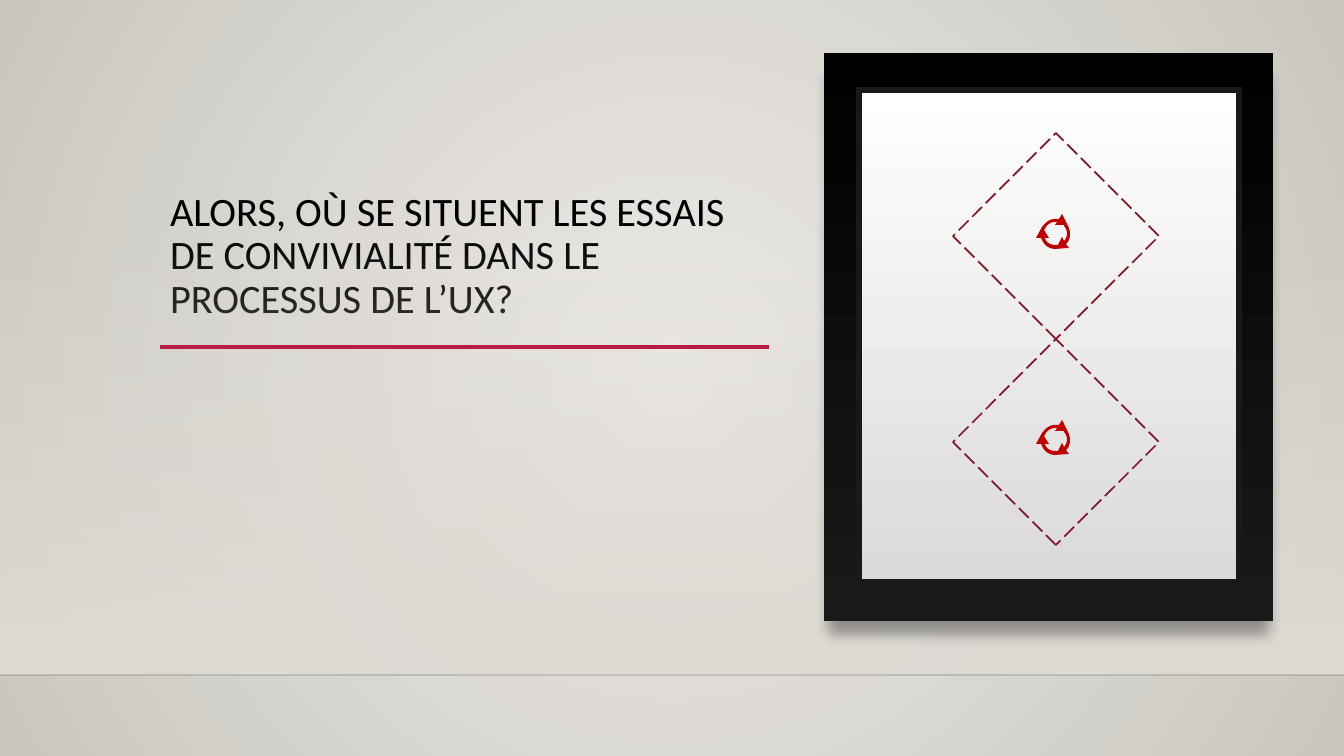
from lxml import etree
from pptx import Presentation, util as u
from pptx.dml.color import RGBColor
from pptx.enum import dml, shapes, text
from pptx.oxml import parse_xml
from pptx.oxml.ns import nsdecls, qn

PX = 914400 / 100.8  # EMU per pixel


class Theme:
    """Colours, font and sizes of the slide."""
    FONT, TITLE_SIZE = "Calibri", 28.8
    TEXT, ACCENT, DASH, ICON = "000000", "B71E42", "871631", "C00000"
    FLOOR, FRAME_EDGE = "000001", "191919"
    BACKDROP = [("ECEAE7", 100), ("CAC7C1", 100)]
    WALL = [("DFDBD5", 0), ("DFDBD5", 100)]
    FRAME = [("000001", 100), ("191919", 100)]
    MAT = [("FFFFFE", 100), ("DADADA", 100)]


# Contours of the cycle icon around its centre: a pair is a corner,
# six numbers are a Bezier curve (two controls and an end).
CYCLE = [
    [(-20, 2), (-14, -9), (-13, -10), (-10, -14, -6, -17, -1, -17), (3, -17),
     (6, -22), (12, -10), (13, -8, 14, -5, 14, -2), (14, 1, 13, 4, 12, 6),
     (10, 8), (13, 12), (-1, 13), (-7, 13, -12, 9, -14, 4), (-15, 2)],
    [(-12, -6), (-7, 2), (-11, 2), (-10, 7, -5, 9, -1, 9), (2, 9), (6, 1),
     (8, 5), (9, 4), (10, 2, 11, 0, 11, -2), (11, -5, 10, -8, 8, -10),
     (8, -11), (-1, -11), (1, -14), (-1, -14), (-5, -14, -10, -11, -11, -7)],
]


def px(n):
    """Turn pixels into EMU."""
    return u.Emu(round(n * PX))


def rgb(code):
    """Turn a hex code into a colour."""
    return RGBColor.from_string(code)


def gradient(stops, direction):
    """Return a two-stop gradient fill with the given direction XML."""
    gs = "".join(f'<a:gs pos="{i * 100000}"><a:srgbClr val="{c}">'
                 f'<a:alpha val="{a * 1000}"/></a:srgbClr></a:gs>'
                 for i, (c, a) in enumerate(stops))
    return parse_xml(f'<a:gradFill {nsdecls("a")} rotWithShape="1">'
                     f'<a:gsLst>{gs}</a:gsLst>{direction}</a:gradFill>')


def flatten(contour, steps=8):
    """Return the contour's points, with curves sampled evenly."""
    pts = []
    for seg in contour:
        if len(seg) == 2:
            pts.append(seg)
            continue
        ctrl = [pts[-1], seg[:2], seg[2:4], seg[4:]]
        for t in (i / steps for i in range(1, steps + 1)):
            w = [(1 - t) ** 3, 3 * t * (1 - t) ** 2, 3 * t * t * (1 - t), t ** 3]
            pts.append(tuple(sum(k * c[axis] for k, c in zip(w, ctrl))
                             for axis in (0, 1)))
    return pts


class Slide:
    """Holds the theme and the current slide, and draws on it."""

    def __init__(self, prs, theme):
        """Add a title-only slide."""
        self.theme = theme
        self.s = prs.slides.add_slide(prs.slide_layouts[5])

    def backdrop(self, stops):
        """Fill the background with a gradient from the centre outwards."""
        self.s.background.fill.solid()
        bg = self.s.element.find(".//" + qn("p:bgPr"))
        centre = ('<a:path path="circle"><a:fillToRect l="50000" t="50000" '
                  'r="50000" b="50000"/></a:path>')
        bg.replace(bg.find(qn("a:solidFill")), gradient(stops, centre))

    def outline(self, line, colour, width):
        """Set a line's colour and its width in points."""
        line.color.rgb, line.width = rgb(colour), u.Pt(width)

    def panel(self, x, y, w, h, stops, edge=None, shadow=False):
        """Add a rectangle shaded from top to bottom."""
        sp = self.s.shapes.add_shape(shapes.MSO_SHAPE.RECTANGLE,
                                     px(x), px(y), px(w), px(h))
        sp.shadow.inherit = False
        sp.fill.solid()
        pr = sp.element.spPr
        pr.replace(pr.find(qn("a:solidFill")),
                   gradient(stops, '<a:lin ang="5400000" scaled="0"/>'))
        if edge:
            self.outline(sp.line, edge, 4)
            etree.SubElement(pr.find(qn("a:ln")), qn("a:miter"), lim="800000")
        else:
            sp.line.fill.background()
        if shadow:
            pr.find(qn("a:effectLst")).append(parse_xml(
                f'<a:outerShdw {nsdecls("a")} blurRad="127000" dist="228600" '
                'dir="4740000" sx="98000" sy="98000" algn="tl" rotWithShape="0">'
                '<a:srgbClr val="000000"><a:alpha val="34000"/></a:srgbClr>'
                '</a:outerShdw>'))

    def rule(self, x1, x2, y, colour, width, alpha=100):
        """Add a horizontal line."""
        c = self.s.shapes.add_connector(shapes.MSO_CONNECTOR.STRAIGHT,
                                        px(x1), px(y), px(x2), px(y))
        self.outline(c.line, colour, width)
        pr = c._element.spPr
        etree.SubElement(pr.find(".//" + qn("a:srgbClr")), qn("a:alpha"),
                         val=str(alpha * 1000))
        etree.SubElement(pr, qn("a:effectLst"))

    def title(self, x, y, w, h, words):
        """Place and format the title."""
        sp = self.s.shapes.title
        sp.left, sp.top, sp.width, sp.height = map(px, (x, y, w, h))
        tf = sp.text_frame
        tf.text, tf.word_wrap = words, True
        tf.auto_size = text.MSO_AUTO_SIZE.NONE
        tf.vertical_anchor = text.MSO_ANCHOR.BOTTOM
        p = tf.paragraphs[0]
        p.alignment, p.line_spacing = text.PP_ALIGN.LEFT, 0.9
        p.font.name, p.font.size = self.theme.FONT, u.Pt(self.theme.TITLE_SIZE)
        p.font.color.rgb = rgb(self.theme.TEXT)

    def diamond(self, x, y, size):
        """Add a dashed diamond."""
        sp = self.s.shapes.add_shape(shapes.MSO_SHAPE.DIAMOND,
                                     px(x), px(y), px(size), px(size))
        sp.rotation = 270
        sp.shadow.inherit = False
        sp.fill.background()
        self.outline(sp.line, self.theme.DASH, 1.25)
        sp.line.dash_style = dml.MSO_LINE.LONG_DASH

    def cycle(self, cx, cy):
        """Add the icon of three arrows in a ring around a centre."""
        outer, inner = ([(px(cx + x), px(cy + y)) for x, y in flatten(c)]
                        for c in CYCLE)
        fb = self.s.shapes.build_freeform(*outer[0])
        fb.add_line_segments(outer[1:])
        fb.move_to(*inner[0])
        fb.add_line_segments(inner[1:])
        sp = fb.convert_to_shape()
        sp.shadow.inherit = False
        sp.fill.solid()
        sp.fill.fore_color.rgb = rgb(self.theme.ICON)
        sp.line.fill.background()


def main():
    """Build the slide and save it."""
    prs = Presentation()
    prs.slide_width, prs.slide_height = px(1344), px(756)
    theme = Theme()
    slide = Slide(prs, theme)
    slide.backdrop(theme.BACKDROP)
    slide.panel(0, 223, 1344, 452, theme.WALL)
    slide.rule(0, 1344, 675, theme.FLOOR, 1, alpha=20)
    slide.panel(824, 53, 449, 568, theme.FRAME, shadow=True)
    slide.panel(859, 90, 380, 492, theme.MAT, edge=theme.FRAME_EDGE)
    slide.rule(160, 769, 347, theme.ACCENT, 2.5)
    slide.title(160, 125, 610, 202, "ALORS, OÙ SE SITUENT LES ESSAIS DE "
                "CONVIVIALITÉ DANS LE PROCESSUS DE L’UX?")
    left, top, size = 953, 133, 206
    for y in (top + size, top):
        slide.diamond(left, y, size)
        slide.cycle(left + size // 2, y + size // 2)
    prs.save("out.pptx")


main()
